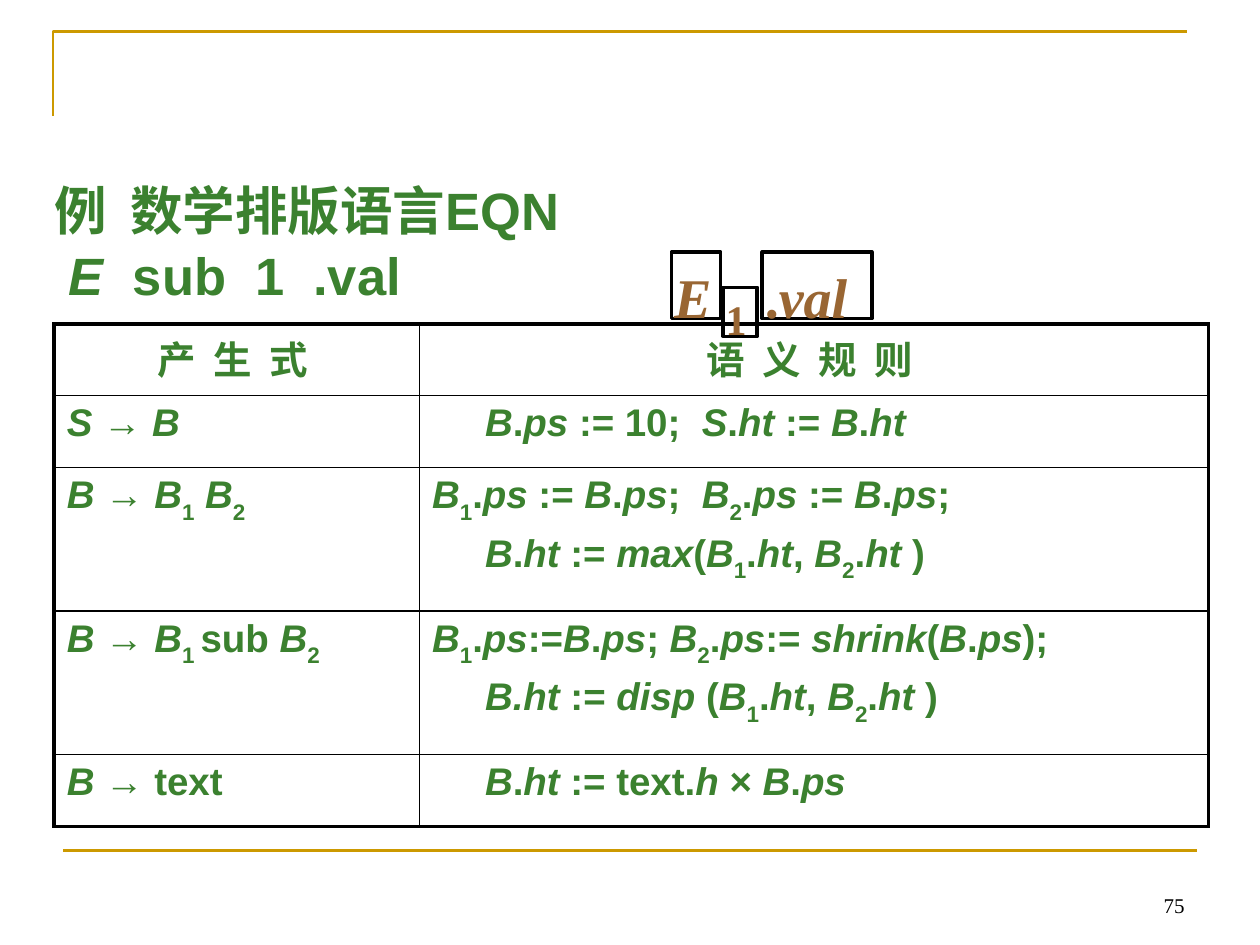
"""Build the EQN typesetting slide with its table of semantic rules."""
from dataclasses import dataclass

from lxml import etree
from pptx import Presentation
from pptx import util as u
from pptx.dml.color import RGBColor
from pptx.enum import shapes, text
from pptx.oxml import ns


@dataclass(frozen=True)
class Theme:
    green: str = "3B812F"
    brown: str = "996633"
    gold: str = "CC9900"
    black: str = "000000"
    sans: str = "Arial"
    serif: str = "Times New Roman"
    cjk: str = "Noto Sans CJK SC"
    heading: int = 30
    table: int = 22
    formula: int = 32
    subscript: int = 24
    number: int = 12


THEME = Theme()
ALIGN = text.PP_ALIGN


def write(paragraph, content, size, color, font=THEME.sans, bold=True,
          align=ALIGN.LEFT, before=0, indent=0, spacing=None):
    """Write text in which * toggles italics and _ toggles subscripts."""
    paragraph.alignment = align
    paragraph.space_before = u.Pt(before)
    if spacing:
        paragraph.line_spacing = spacing
    properties = paragraph._p.get_or_add_pPr()
    properties.set("marL", str(u.Inches(indent)))
    properties.set("indent", "0")
    etree.SubElement(properties, ns.qn("a:buNone"))
    for i, slanted in enumerate(content.split("*")):
        for j, piece in enumerate(slanted.split("_")):
            if not piece:
                continue
            run = paragraph.add_run()
            run.text = piece
            run.font.size = u.Pt(size)
            run.font.bold = bold
            run.font.italic = i % 2 == 1
            run.font.color.rgb = RGBColor.from_string(color)
            run.font.name = font
            etree.SubElement(run.font._element, ns.qn("a:ea"), typeface=THEME.cjk)
            if j % 2:
                run.font._element.set("baseline", "-30000")


def place(shape, left, top, width, height):
    shape.left, shape.top = u.Inches(left), u.Inches(top)
    shape.width, shape.height = u.Inches(width), u.Inches(height)


class SlideBuilder:
    """Hold the theme and the current slide, and add its elements."""

    def __init__(self, slide, theme):
        self.slide, self.theme = slide, theme

    def stroke(self, shape, color, width):
        shape.line.color.rgb = RGBColor.from_string(color)
        shape.line.width = u.Pt(width)

    def corner(self, *points):
        (x, y), *rest = [(u.Inches(a), u.Inches(b)) for a, b in points]
        builder = self.slide.shapes.build_freeform(x, y)
        builder.add_line_segments(rest, close=False)
        bracket = builder.convert_to_shape()
        bracket.fill.background()
        bracket.shadow.inherit = False
        self.stroke(bracket, self.theme.gold, 1.5)

    def rule(self, left, right, y):
        footer_rule = self.slide.shapes.add_connector(
            shapes.MSO_CONNECTOR.STRAIGHT,
            u.Inches(left), u.Inches(y), u.Inches(right), u.Inches(y))
        self.stroke(footer_rule, self.theme.gold, 1.5)
        etree.SubElement(footer_rule._element.spPr, ns.qn("a:effectLst"))

    def body(self, lines, box):
        example = self.slide.placeholders[1]
        place(example, *box)
        frame = example.text_frame
        frame.word_wrap = True
        frame.auto_size = text.MSO_AUTO_SIZE.NONE
        frame.vertical_anchor = text.MSO_ANCHOR.TOP
        for i, line in enumerate(lines):
            paragraph = frame.add_paragraph() if i else frame.paragraphs[0]
            write(paragraph, line, self.theme.heading, self.theme.green,
                  before=4.5 if i else 0, spacing=0.9)

    def border(self, cell, widths):
        properties = cell._tc.get_or_add_tcPr()
        for i, (side, width) in enumerate(zip("LRTB", widths)):
            edge = etree.Element(ns.qn(f"a:ln{side}"), w=str(u.Pt(width)))
            fill = etree.SubElement(edge, ns.qn("a:solidFill"))
            etree.SubElement(fill, ns.qn("a:srgbClr"), val=self.theme.black)
            properties.insert(i, edge)

    def table(self, rows, left, top, columns, heights, indent):
        grid = self.slide.shapes.add_table(
            len(rows), len(columns), u.Inches(left), u.Inches(top),
            u.Inches(sum(columns)), u.Inches(sum(heights))).table
        grid.first_row = grid.horz_banding = False
        for column, width in zip(grid.columns, columns):
            column.width = u.Inches(width)
        last_row, last_column = len(rows) - 1, len(columns) - 1
        for r, (row, height) in enumerate(zip(rows, heights)):
            grid.rows[r].height = u.Inches(height)
            for c, content in enumerate(row):
                cell = grid.cell(r, c)
                cell.fill.background()
                outer = (c == 0, c == last_column, r == 0, r == last_row)
                self.border(cell, [2.25 if edge else 1 for edge in outer])
                for i, line in enumerate(content.split("\n")):
                    frame = cell.text_frame
                    paragraph = frame.add_paragraph() if i else frame.paragraphs[0]
                    write(paragraph, line.lstrip(">"), self.theme.table, self.theme.green,
                          font=self.theme.sans if r else self.theme.cjk,
                          align=ALIGN.LEFT if r else ALIGN.CENTER,
                          before=0.2 * self.theme.table if i else 0,
                          indent=indent if line.startswith(">") else 0)

    def formula(self, parts):
        group = self.slide.shapes.add_group_shape()
        for content, size, inset, box in parts:
            glyph = group.shapes.add_shape(
                shapes.MSO_SHAPE.RECTANGLE, *map(u.Inches, box))
            glyph.fill.background()
            glyph.shadow.inherit = False
            self.stroke(glyph, self.theme.black, 2)
            frame = glyph.text_frame
            frame.word_wrap = True
            frame.vertical_anchor = text.MSO_ANCHOR.TOP
            frame.margin_left = frame.margin_right = u.Inches(0.02)
            frame.margin_top, frame.margin_bottom = u.Inches(inset), 0
            write(frame.paragraphs[0], content, size, self.theme.brown,
                  font=self.theme.serif, align=ALIGN.JUSTIFY)

    def page_number(self, number, box):
        frame = self.slide.shapes.add_textbox(*map(u.Inches, box)).text_frame
        frame.word_wrap = True
        frame.vertical_anchor = text.MSO_ANCHOR.BOTTOM
        write(frame.paragraphs[0], number, self.theme.number, self.theme.black,
              font=self.theme.serif, bold=False, align=ALIGN.RIGHT)


RULES = [
    ("产  生  式 ", "语  义  规  则 "),
    ("*S *→* B*", ">*B*.*ps* := 10;  *S*.*ht* := *B*.*ht*"),
    ("*B *→* B*_1_* B*_2_",
     "*B*_1_.*ps* := *B*.*ps*;  *B*_2_.*ps* := *B*.*ps*;\n"
     ">*B*.*ht* := *max*(*B*_1_.*ht*, *B*_2_.*ht *)"),
    ("*B *→* B*_1 _sub* B*_2_",
     "*B*_1_.*ps*:=*B*.*ps*; *B*_2_.*ps*:= *shrink*(*B*.*ps*);\n"
     ">*B.ht* := *disp* (*B*_1_.*ht*, *B*_2_.*ht *)"),
    ("*B *→ text", ">*B*.*ht* := text.*h *×* B*.*ps*"),
]


def main():
    deck = Presentation()
    deck.slide_width, deck.slide_height = u.Inches(10), u.Inches(7.5)
    slide = deck.slides.add_slide(deck.slide_layouts[1])
    title = slide.shapes.title._element
    title.getparent().remove(title)

    page = SlideBuilder(slide, THEME)
    page.corner((0.42, 0.92), (0.42, 0.25), (9.42, 0.25))
    page.rule(0.5, 9.5, 6.75)
    page.body(["例  数学排版语言EQN", " *E*  sub  1  .val"], (0.33, 1.42, 9.42, 5.83))
    page.table(RULES, 0.43, 2.57, (2.9, 6.26), (0.57, 0.57, 1.14, 1.14, 0.57), indent=0.42)
    page.formula([
        ("*E*", THEME.formula, 0.08, (5.33, 2, 0.39, 0.53)),
        ("1", THEME.subscript, 0.05, (5.74, 2.28, 0.27, 0.39)),
        (".*val*", THEME.formula, 0.08, (6.05, 2, 0.87, 0.53)),
    ])
    page.page_number("75", (7.17, 6.83, 2.33, 0.5))
    deck.save("out.pptx")


if __name__ == "__main__":
    main()
